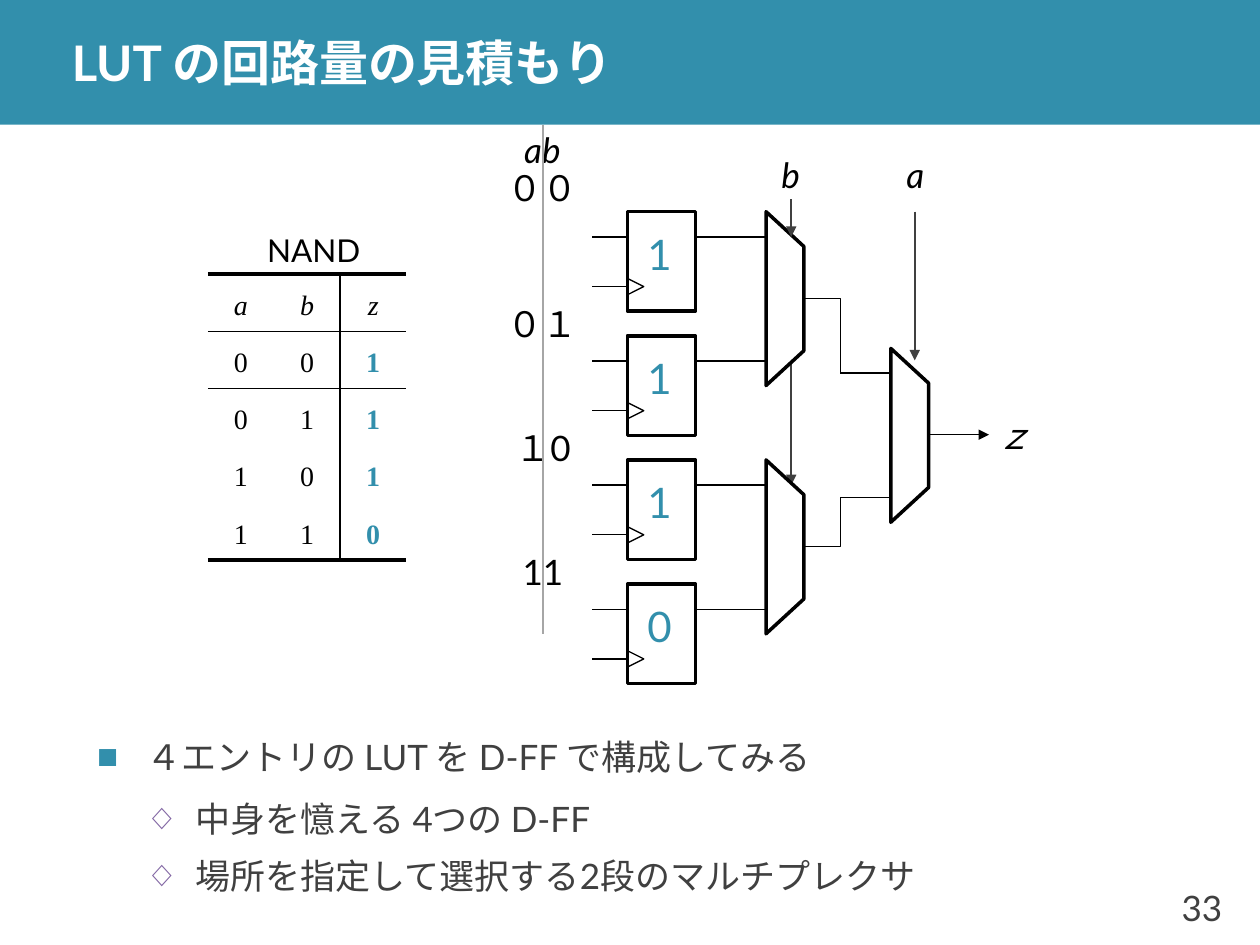
from lxml.etree import SubElement
from pptx import Presentation
from pptx.dml.color import RGBColor
from pptx.enum.shapes import MSO_CONNECTOR as Connector, MSO_SHAPE as Shape
from pptx.enum.text import MSO_ANCHOR as Anchor, MSO_AUTO_SIZE as AutoSize, PP_ALIGN as Align
from pptx.oxml.ns import qn
from pptx.util import Inches, Pt

COLORS = {
    "teal": "328FAC", "white": "FFFFFF", "black": "000000",
    "dark": "404040", "gray": "A6A6A6", "purple": "8064A2",
}
COLUMNS, ROWS = 100, 75
UNIT = Inches(10) / COLUMNS
PLAIN_TABLE = "{2D5ABB26-0587-4C30-8999-92F81FD0307C}"


def grid(*cells):
    return [round(cell * UNIT) for cell in cells]


def color(name):
    return RGBColor.from_string(COLORS[name])


def write(para, text, size=20, tint="black", font="Lato", bold=False, italic=False, align=Align.CENTER):
    para.alignment = align
    span = para.add_run()
    span.text = text
    span.font.name, span.font.size = font, Pt(size)
    span.font.bold, span.font.italic = bold, italic
    span.font.color.rgb = color(tint)


class SlideBuilder:
    def __init__(self, deck):
        self.page = deck.slides.add_slide(deck.slide_layouts[1])
        self.shapes = self.page.shapes

    def place(self, box, left, top, width, height):
        box.left, box.top, box.width, box.height = grid(left, top, width, height)

    def stroke(self, line, tint, weight):
        line.color.rgb = color(tint)
        line.width = Pt(weight)

    def banner(self, height):
        band = self.block(Shape.RECTANGLE, 0, 0, COLUMNS, height, fill="teal")
        band.element.getparent().insert(2, band.element)

    def title(self, text, *area):
        box = self.shapes.title
        self.place(box, *area)
        frame = box.text_frame
        frame.vertical_anchor, frame.auto_size = Anchor.MIDDLE, AutoSize.NONE
        frame.margin_top = frame.margin_bottom = 0
        write(frame.paragraphs[0], text, size=28, tint="white", bold=True, align=Align.LEFT)

    def bullets(self, items, *area):
        box = self.page.placeholders[1]
        self.place(box, *area)
        frame = box.text_frame
        frame.vertical_anchor, frame.auto_size = Anchor.MIDDLE, AutoSize.NONE
        marks = [("■", "teal", 100, 6), ("◇", "purple", 90, 3)]
        for index, (level, text) in enumerate(items):
            para = frame.add_paragraph() if index else frame.paragraphs[0]
            para.level = level
            mark, tint, percent, gap = marks[level]
            props = para._p.get_or_add_pPr()
            indent, = grid(3.9)
            props.set("marL", str(indent * (level + 1)))
            props.set("indent", str(-indent))
            SubElement(SubElement(props, qn("a:buClr")), qn("a:srgbClr"), val=COLORS[tint])
            SubElement(props, qn("a:buSzPct"), val=str(percent * 1000))
            SubElement(props, qn("a:buChar"), char=mark)
            para.line_spacing = 1.1
            para.space_before, para.space_after = Pt(gap if index else 0), Pt(gap)
            write(para, text, tint="dark", align=Align.LEFT)

    def label(self, text, left, top, width, height, **style):
        frame = self.shapes.add_textbox(*grid(left, top, width, height)).text_frame
        frame.word_wrap, frame.vertical_anchor = True, Anchor.MIDDLE
        frame.margin_left = frame.margin_right = frame.margin_top = frame.margin_bottom = 0
        write(frame.paragraphs[0], text, **style)

    def block(self, kind, left, top, width, height, fill="white", outline=None):
        box = self.shapes.add_shape(kind, *grid(left, top, width, height))
        box.shadow.inherit = False
        box.fill.solid()
        box.fill.fore_color.rgb = color(fill)
        if outline:
            self.stroke(box.line, outline, 2)
        else:
            box.line.fill.background()
        return box

    def wire(self, x1, y1, x2, y2, tint="black", weight=0.75, arrow=False):
        link = self.shapes.add_connector(Connector.STRAIGHT, *grid(x1, y1, x2, y2))
        self.stroke(link.line, tint, weight)
        if arrow:
            SubElement(link.line._get_or_add_ln(), qn("a:tailEnd"), type="triangle")
        SubElement(link._element.spPr, qn("a:effectLst"))

    def trace(self, start, *points, weight=0.75):
        builder = self.shapes.build_freeform(*grid(*start))
        builder.add_line_segments([grid(*point) for point in points], close=False)
        outline = builder.convert_to_shape()
        outline.shadow.inherit = False
        outline.fill.background()
        self.stroke(outline.line, "black", weight)

    def flip_flop(self, value, top):
        self.wire(47, top + 2, 57.9, top + 2)
        self.block(Shape.RECTANGLE, 49.8, top, 5.4, 7.9, outline="black")
        self.label(value, 51, top + 1.3, 2.7, 4, size=24, tint="teal")
        self.trace((49.8, top + 5.3), (51.1, top + 5.95), (49.8, top + 6.6))
        self.wire(47, top + 5.95, 49.8, top + 5.95)

    def multiplexer(self, center_x, center_y):
        length, depth = 13.8, 3
        box = self.block(Shape.FLOWCHART_MANUAL_OPERATION, center_x - length / 2,
                         center_y - depth / 2, length, depth, outline="black")
        box.rotation = 270

    def border(self, cell, side, weight):
        line = SubElement(cell._tc.get_or_add_tcPr(), qn("a:ln" + side), w=str(Pt(weight)))
        SubElement(SubElement(line, qn("a:solidFill")), qn("a:srgbClr"), val=COLORS["black"])

    def truth_table(self, rows, left, top, width, height):
        last_row, last_col = len(rows) - 1, len(rows[0]) - 1
        table = self.shapes.add_table(last_row + 1, last_col + 1, *grid(left, top, width, height)).table
        table.first_row = table.horz_banding = False
        table._tbl.tblPr.find(qn("a:tableStyleId")).text = PLAIN_TABLE
        for r, values in enumerate(rows):
            for c, value in enumerate(values):
                cell = table.cell(r, c)
                cell.vertical_anchor = Anchor.MIDDLE
                result = r > 0 and c == last_col
                para = cell.text_frame.paragraphs[0]
                para.line_spacing = 1.2
                write(para, value, size=16, font="Times New Roman", italic=r == 0,
                      bold=result, tint="teal" if result else "black")
                if c == last_col:
                    self.border(cell, "L", 1)
                if c == last_col - 1:
                    self.border(cell, "R", 1)
                if r < 2:
                    self.border(cell, "T", 1 if r else 2.25)
                if r in (0, last_row):
                    self.border(cell, "B", 2.25 if r else 1)
                cell.fill.background()


def main():
    deck = Presentation()
    deck.slide_width, deck.slide_height = grid(COLUMNS, ROWS)
    slide = SlideBuilder(deck)
    slide.banner(9.9)
    slide.title("LUT の回路量の見積もり", 4.7, 0, 95.3, 9.9)
    slide.bullets([
        (0, "４エントリの LUT を D-FF で構成してみる"),
        (1, "中身を憶える 4つの D-FF"),
        (1, "場所を指定して選択する2段のマルチプレクサ"),
    ], 6.7, 58.2, 90.6, 12.8)
    slide.label("33", 91.3, 69, 5.7, 6, tint="dark", align=Align.RIGHT)

    slide.label("NAND", 17.5, 17.9, 14.8, 3.9, size=18)
    slide.truth_table(["abz", "001", "011", "101", "110"], 16.5, 21.75, 15.75, 22.7)

    first, pitch = 16.8, 9.85
    for index, value in enumerate("1110"):
        top = first + index * pitch
        slide.flip_flop(value, top)
        slide.wire(57.9, top + 2, 61.8, top + 2)

    for row in (29.6, 39.5):
        slide.wire(66.7, row, 71.7, row)
    slide.trace((66.7, 29.6), (66.7, 23.7), (63.8, 23.7), weight=0.5)
    slide.trace((66.7, 39.5), (66.7, 43.4), (63.8, 43.4), weight=0.5)
    slide.wire(73.6, 34.5, 78.5, 34.5, arrow=True)
    slide.multiplexer(72.2, 34.55)

    slide.wire(62.8, 16.8, 62.8, 38.5, "dark", 1.25, arrow=True)
    slide.wire(72.6, 16.8, 72.6, 28.6, "dark", 1.25, arrow=True)
    slide.multiplexer(62.3, 43.4)
    slide.multiplexer(62.3, 23.7)
    slide.wire(62.8, 15.8, 62.8, 18.8, "dark", 1.25, arrow=True)

    for name, left, top in [("a", 70.7, 11.9), ("b", 60.8, 11.9), ("ｚ", 78.5, 32.6), ("ab", 41.1, 9.9)]:
        slide.label(name, left, top, 3.9, 3.9, italic=True)
    for address, top in [("００", 12.9), ("０１", 23.7), ("１0", 33.6), ("11", 43.4)]:
        slide.label(address, 39.1, top, 8, 3.9)
    slide.wire(43.1, 9.9, 43.1, 50.3, "gray")
    deck.save("out.pptx")


if __name__ == "__main__":
    main()
